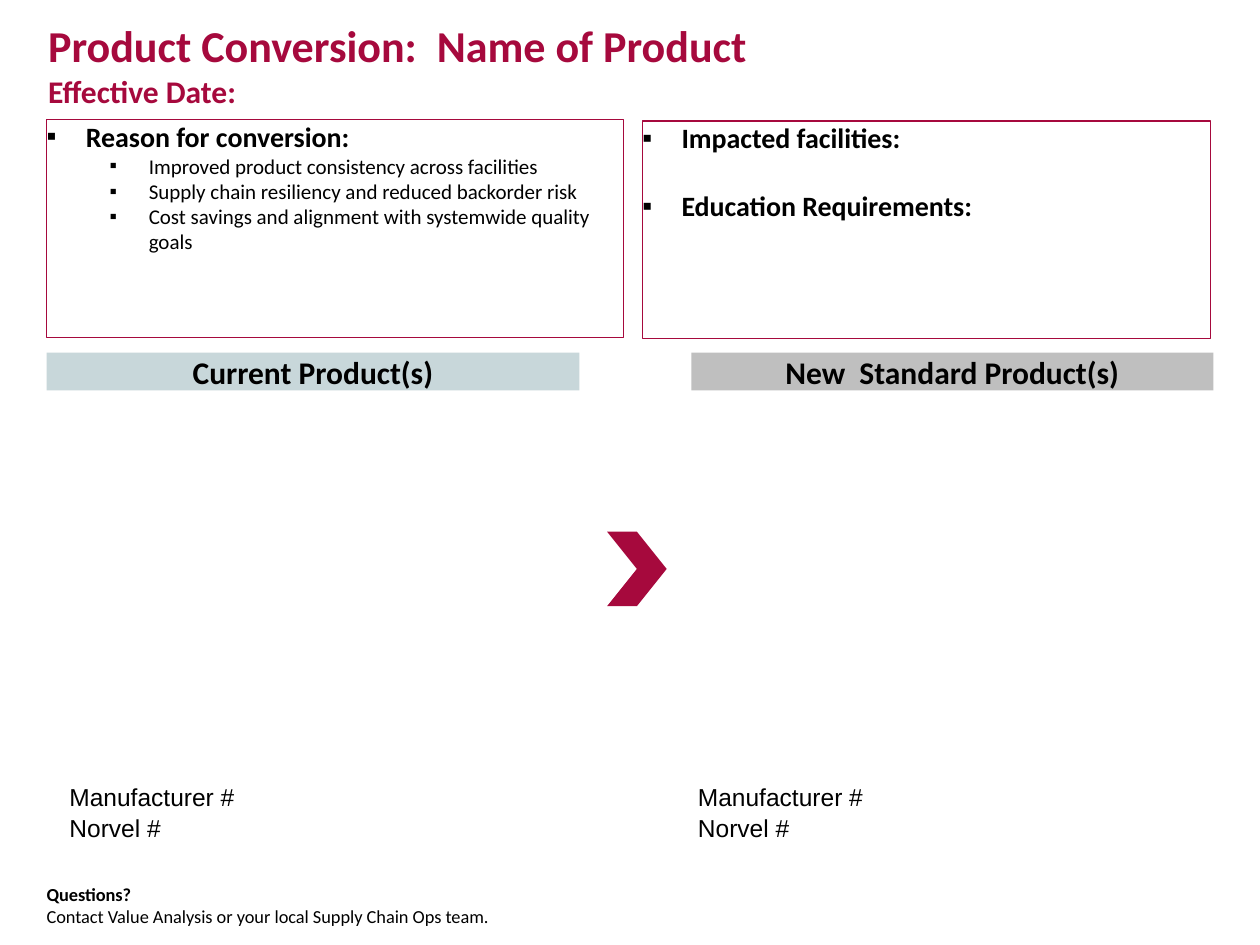
from lxml import etree
from pptx import Presentation
from pptx.dml.color import RGBColor
from pptx.enum.shapes import MSO_SHAPE
from pptx.enum.text import MSO_ANCHOR, PP_ALIGN
from pptx.oxml.ns import qn
from pptx.util import Cm, Pt

RECTANGLE, CHEVRON = MSO_SHAPE.RECTANGLE, MSO_SHAPE.CHEVRON
TOP, MIDDLE = MSO_ANCHOR.TOP, MSO_ANCHOR.MIDDLE
LEFT, CENTER = PP_ALIGN.LEFT, PP_ALIGN.CENTER

CRIMSON = RGBColor(0xA6, 0x09, 0x3D)
PALE_BLUE = RGBColor(0xC8, 0xD7, 0xDA)
GRAY = RGBColor(0xBF, 0xBF, 0xBF)
BLACK = RGBColor(0, 0, 0)

MARGIN = 0.94
HANGING = 0.79
SUB_INDENT = 2.06


def prepare_frame(shape, anchor=TOP):
    frame = shape.text_frame
    frame.word_wrap = True
    frame.vertical_anchor = anchor
    frame.margin_left = frame.margin_right = Cm(0)
    frame.margin_top = frame.margin_bottom = Cm(0)
    return frame


def add_paragraph(frame, index):
    return frame.paragraphs[0] if index == 0 else frame.add_paragraph()


def add_run(paragraph, text, size, bold=False, font="Calibri", color=BLACK):
    run = paragraph.add_run()
    run.text = text
    run.font.name = font
    run.font.size = Pt(size)
    run.font.bold = bold
    run.font.color.rgb = color


def add_text_box(slide, left, top, width, height):
    box = slide.shapes.add_textbox(Cm(left), Cm(top), Cm(width), Cm(height))
    return prepare_frame(box)


def add_plain_shape(slide, kind, left, top, width, height, fill=None, line=None):
    shape = slide.shapes.add_shape(kind, Cm(left), Cm(top), Cm(width), Cm(height))
    shape.shadow.inherit = False
    if fill is None:
        shape.fill.background()
    else:
        shape.fill.solid()
        shape.fill.fore_color.rgb = fill
    if line is None:
        shape.line.fill.background()
    else:
        shape.line.color.rgb = line
        shape.line.width = Pt(0.75)
    return shape


def set_bullet(paragraph, indent):
    properties = paragraph._p.get_or_add_pPr()
    properties.set("marL", str(Cm(indent)))
    properties.set("indent", str(-Cm(HANGING)))
    etree.SubElement(properties, qn("a:buFont")).set("typeface", "Arial")
    etree.SubElement(properties, qn("a:buChar")).set("char", "▪")


def add_bullet_panel(slide, left, top, width, bullets, gap=0):
    """Outlined panel; each bullet is (level, text)."""
    panel = add_plain_shape(slide, RECTANGLE, left, top, width, 4.39, line=CRIMSON)
    frame = prepare_frame(panel)
    for index, (level, text) in enumerate(bullets):
        paragraph = add_paragraph(frame, index)
        paragraph.level = level
        paragraph.alignment = LEFT
        if index and gap:
            paragraph.space_before = Pt(gap)
        set_bullet(paragraph, SUB_INDENT if level else HANGING)
        add_run(paragraph, text, 12 if level else 16, bold=level == 0)


def add_product_header(slide, left, width, text, fill):
    header = add_plain_shape(slide, RECTANGLE, left, 7.11, width, 0.76, fill=fill)
    paragraph = prepare_frame(header, MIDDLE).paragraphs[0]
    paragraph.alignment = CENTER
    add_run(paragraph, text, 18, bold=True)


def add_product_numbers(slide, left):
    frame = add_text_box(slide, left, 15.77, 10.1, 1.27)
    for index, label in enumerate(("Manufacturer #", "Norvel #")):
        paragraph = add_paragraph(frame, index)
        if index:
            paragraph.space_before = Pt(1)
        add_run(paragraph, label, 14, font="Arial")


def main():
    deck = Presentation()
    deck.slide_width, deck.slide_height = Cm(25.4), Cm(19.05)
    slide = deck.slides.add_slide(deck.slide_layouts[6])

    # Title and date
    heading = add_text_box(slide, 0.97, 0.38, 23.47, 2.13).paragraphs[0]
    add_run(heading, "Product Conversion:  Name of Product", 25.2, True, color=CRIMSON)
    heading.add_line_break()
    add_run(heading, "Effective Date:", 18, True, color=CRIMSON)

    # Background panels
    add_bullet_panel(slide, MARGIN, 2.41, 11.63, [
        (0, "Reason for conversion:"),
        (1, "Improved product consistency across facilities"),
        (1, "Supply chain resiliency and reduced backorder risk"),
        (1, "Cost savings and alignment with systemwide quality goals"),
    ])
    add_bullet_panel(slide, 12.95, 2.44, 11.46, [
        (0, "Impacted facilities:"),
        (0, "Education Requirements:"),
    ], gap=19.5)

    # Current and new products
    add_product_header(slide, MARGIN, 10.74, "Current Product(s)", PALE_BLUE)
    add_product_header(slide, 13.94, 10.52, "New  Standard Product(s)", GRAY)
    add_plain_shape(slide, CHEVRON, 12.24, 10.72, 1.2, 1.5, fill=CRIMSON)
    for left in (1.4, 14.07):
        add_product_numbers(slide, left)

    # Contact
    contact = add_text_box(slide, MARGIN, 17.81, 19.56, 1.09)
    add_run(add_paragraph(contact, 0), "Questions?", 10.5, bold=True)
    add_run(add_paragraph(contact, 1),
            "Contact Value Analysis or your local Supply Chain Ops team.", 10.5)

    deck.save("out.pptx")


if __name__ == "__main__":
    main()
